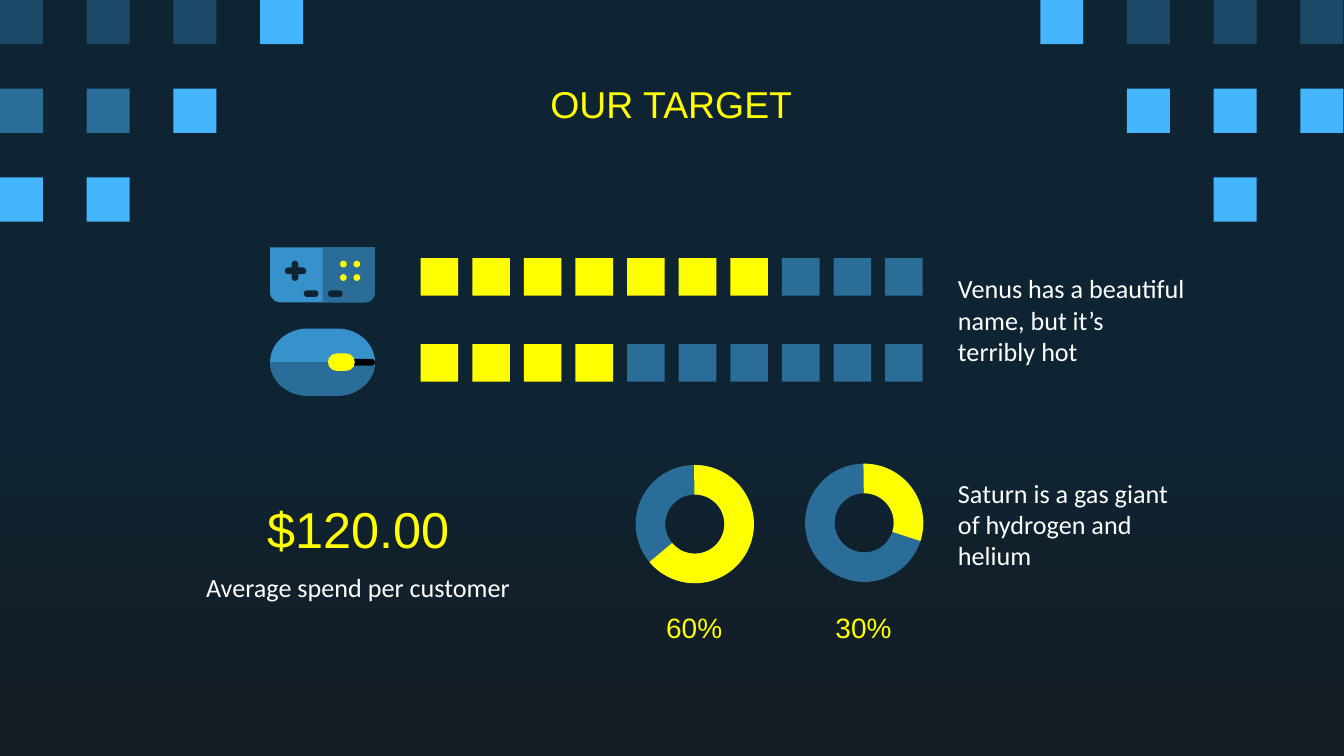
import math

from pptx import Presentation
from pptx.dml.color import RGBColor
from pptx.enum.shapes import MSO_SHAPE
from pptx.enum.text import MSO_ANCHOR, MSO_AUTO_SIZE, PP_ALIGN
from pptx.util import Inches, Pt

RECT, OVAL = MSO_SHAPE.RECTANGLE, MSO_SHAPE.OVAL
PILL = MSO_SHAPE.ROUNDED_RECTANGLE
ROUND_TWO, ROUND_ONE = MSO_SHAPE.ROUND_2_SAME_RECTANGLE, MSO_SHAPE.ROUND_1_RECTANGLE
DONUT, ARC = MSO_SHAPE.DONUT, MSO_SHAPE.BLOCK_ARC
TOP, MIDDLE = MSO_ANCHOR.TOP, MSO_ANCHOR.MIDDLE
LEFT, CENTER = PP_ALIGN.LEFT, PP_ALIGN.CENTER

COLORS = {
    "night": "0E2433", "floor": "141C21", "deep": "1C4966", "steel": "296D98",
    "blue": "3792CB", "sky": "45B6FE", "yellow": "FFFF00", "white": "FFFFFF",
    "black": "000000",
}

TITLE = ("OUR TARGET", (0.78, 0.59, 8.43, 0.36), "Arial", 20, "yellow", CENTER, MIDDLE)
TEXTS = [
    ("Venus has a beautiful name, but it’s terribly hot",
     (7.03, 1.92, 1.9, 0.92), "Calibri", 14, "white", LEFT, MIDDLE),
    ("Saturn is a gas giant of hydrogen and helium",
     (7.03, 3.6, 1.9, 0.6), "Calibri", 14, "white", LEFT, MIDDLE),
    ("$120.00", (1.16, 3.66, 3.01, 0.54), "Arial", 27, "yellow", CENTER, MIDDLE),
    ("Average spend per customer",
     (1.16, 4.21, 3.01, 0.31), "Calibri", 14, "white", CENTER, MIDDLE),
]

# One letter per grid cell: d = deep, m = steel, s = sky
CORNER_ROWS = ["ddds........sddd", "mms..........sss", "ss............s."]
CORNER_COLORS = {"d": "deep", "m": "steel", "s": "sky"}
CORNER_PITCH = (0.645, 0.66)

RATINGS = [(1.92, 7), (2.56, 4)]  # top of the row, filled blocks
BLOCK_COUNT, BLOCK_LEFT, BLOCK_PITCH, BLOCK_SIZE = 10, 3.13, 0.384, 0.28

# label, ring left, ring top, angle where the yellow arc ends
RINGS = [("60%", 4.73, 3.46, 140.1), ("30%", 5.99, 3.45, 17.9)]
RING_SIZE = 0.88
ARC_START = 269.3
ADJUST_PER_DEGREE = 0.6

CONTROLLER = [
    (ROUND_TWO, (2.01, 1.84, 0.78, 0.41), "blue", (0, 0.18), 0),
    (ROUND_ONE, (2.39, 1.85, 0.41, 0.39), "steel", (0.18,), 90),
    (PILL, (2.12, 1.99, 0.16, 0.05), "night", (0.5,), 0),
    (PILL, (2.17, 1.94, 0.05, 0.15), "night", (0.5,), 0),
    (PILL, (2.26, 2.16, 0.11, 0.05), "night", (0.5,), 0),
    (PILL, (2.44, 2.16, 0.11, 0.05), "night", (0.5,), 0),
] + [(OVAL, (x, y, 0.05, 0.05), "yellow", (), 0)
     for x in (2.53, 2.63) for y in (1.94, 2.04)]
MOUSE_PARTS = [
    (PILL, (2.6, 2.67, 0.19, 0.05), "black", (0.5,), 0),
    (PILL, (2.44, 2.63, 0.2, 0.13), "yellow", (0.5,), 0),
]
MOUSE_CENTER, MOUSE_RADII, MOUSE_STRAIGHT = (2.4, 2.695), (0.28, 0.25), 0.22


def rgb(name):
    return RGBColor.from_string(COLORS[name])


def paint(shape, color):
    shape.fill.solid()
    shape.fill.fore_color.rgb = rgb(color)
    shape.line.fill.background()
    shape.shadow.inherit = False


def add_part(slide, kind, place, color, adjustments=(), rotation=0):
    shape = slide.shapes.add_shape(kind, *map(Inches, place))
    for index, value in enumerate(adjustments):
        shape.adjustments[index] = value
    shape.rotation = rotation
    paint(shape, color)


def add_mouse_outline(slide, sweep, color):
    """Draw the mouse body clockwise from its right end through sweep degrees."""
    points = []
    for degrees in range(0, sweep + 1, 5):
        x, y = (turn(math.radians(degrees)) for turn in (math.cos, math.sin))
        # A quarter-turn point is used twice, once for each end of the straight edge
        sides = (1, -1) if degrees == 90 else (-1, 1) if degrees == 270 else (
            (1,) if x > 0 else (-1,))
        for side in sides:
            points.append((
                Inches(MOUSE_CENTER[0] + side * MOUSE_STRAIGHT / 2 + x * MOUSE_RADII[0]),
                Inches(MOUSE_CENTER[1] + y * MOUSE_RADII[1])))
    builder = slide.shapes.build_freeform(*points[0])
    builder.add_line_segments(points[1:], close=True)
    paint(builder.convert_to_shape(), color)


def write(box, text, place, font, size, color, align, anchor):
    box.left, box.top, box.width, box.height = map(Inches, place)
    frame = box.text_frame
    frame.text = text
    frame.word_wrap = True
    frame.auto_size = MSO_AUTO_SIZE.NONE
    frame.vertical_anchor = anchor
    frame.margin_left = frame.margin_right = Inches(0.1)
    frame.margin_top = frame.margin_bottom = Inches(0.1)
    para = frame.paragraphs[0]
    para.alignment = align
    para.font.name, para.font.size = font, Pt(size)
    para.font.color.rgb = rgb(color)


def add_text(slide, text, place, *style):
    write(slide.shapes.add_textbox(*map(Inches, place)), text, place, *style)


def set_background(slide):
    fill = slide.background.fill
    fill.gradient()
    fill.gradient_angle = 270
    for stop, (position, color) in zip(fill.gradient_stops, [(0.56, "night"), (1, "floor")]):
        stop.position = position
        stop.color.rgb = rgb(color)


def main():
    deck = Presentation()
    deck.slide_width, deck.slide_height = Inches(10), Inches(5.625)
    slide = deck.slides.add_slide(deck.slide_layouts[5])
    set_background(slide)

    for row, cells in enumerate(CORNER_ROWS):
        for column, cell in enumerate(cells):
            if cell in CORNER_COLORS:
                place = (column * CORNER_PITCH[0], row * CORNER_PITCH[1], 0.32, 0.33)
                add_part(slide, RECT, place, CORNER_COLORS[cell])

    write(slide.shapes.title, *TITLE)
    for entry in TEXTS:
        add_text(slide, *entry)

    for top, filled in RATINGS:
        for index in range(BLOCK_COUNT):
            place = (BLOCK_LEFT + index * BLOCK_PITCH, top, BLOCK_SIZE, BLOCK_SIZE)
            add_part(slide, RECT, place, "yellow" if index < filled else "steel")

    for label, left, top, end in RINGS:
        place = (left, top, RING_SIZE, RING_SIZE)
        add_part(slide, DONUT, place, "steel", (0.25,))
        angles = (ARC_START * ADJUST_PER_DEGREE, end * ADJUST_PER_DEGREE)
        add_part(slide, ARC, place, "yellow", (*angles, 0.25))
        add_text(slide, label, (left - 0.03, 4.44, 0.93, 0.31),
                 "Arial", 15, "yellow", CENTER, TOP)

    for part in CONTROLLER:
        add_part(slide, *part)
    add_mouse_outline(slide, 360, "blue")
    add_mouse_outline(slide, 180, "steel")
    for part in MOUSE_PARTS:
        add_part(slide, *part)

    deck.save("out.pptx")


if __name__ == "__main__":
    main()
